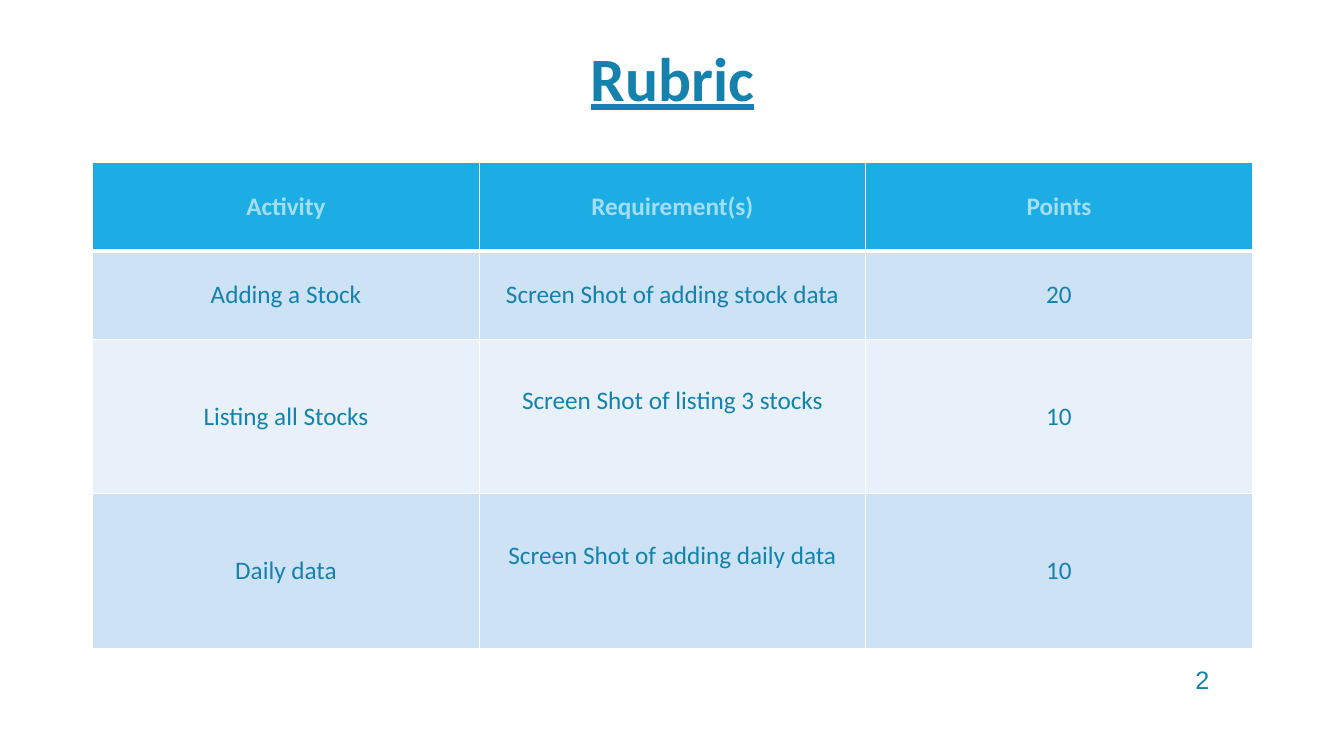
from lxml.etree import SubElement
from pptx import Presentation
from pptx.dml.color import RGBColor
from pptx.enum.text import MSO_ANCHOR, PP_ALIGN
from pptx.oxml.ns import qn
from pptx.util import Inches, Pt

COLORS = {
    "text": "1482AC",
    "header_text": "A4DEF4",
    "header": "1CADE4",
    "odd_row": "CDE3F5",
    "even_row": "E8F1FA",
    "border": "FFFFFF",
}
RUBRIC = [
    ("Activity", "Requirement(s)", "Points"),
    ("Adding a Stock", "Screen Shot of adding stock data", "20"),
    ("Listing all Stocks", "Screen Shot of listing 3 stocks", "10"),
    ("Daily data", "Screen Shot of adding daily data", "10"),
]
ROW_HEIGHTS = [0.88, 0.88, 1.53, 1.53]
TABLE_LEFT, TABLE_TOP, TABLE_WIDTH = 0.92, 1.61, 11.5
RAISED_MARGIN = 0.36  # lifts the requirement in the tall rows


def write_text(tf, text, size=18, font="Calibri", color="text",
               bold=False, underline=False, line_spacing=None):
    """Write one centred paragraph into a text frame."""
    p = tf.paragraphs[0]
    p.alignment = PP_ALIGN.CENTER
    if line_spacing:
        p.line_spacing = line_spacing
    r = p.add_run()
    r.text = text
    r.font.size = Pt(size)
    r.font.name = font
    r.font.bold = bold
    r.font.underline = underline
    r.font.color.rgb = RGBColor.from_string(COLORS[color])


def add_text(s, text, left, top, width, height, **fmt):
    """Add a wrapping, vertically centred text box."""
    tf = s.shapes.add_textbox(Inches(left), Inches(top),
                              Inches(width), Inches(height)).text_frame
    tf.word_wrap = True
    tf.vertical_anchor = MSO_ANCHOR.MIDDLE
    write_text(tf, text, **fmt)


def set_borders(cell, **widths):
    """Draw the cell's borders, with widths in points by side."""
    tc_pr = cell._tc.get_or_add_tcPr()
    for side in "LRTB":
        ln = SubElement(tc_pr, qn(f"a:ln{side}"), w=str(Pt(widths.get(side, 1))))
        fill = SubElement(ln, qn("a:solidFill"))
        SubElement(fill, qn("a:srgbClr"), val=COLORS["border"])


def format_cell(cell, text, row):
    """Fill in one rubric cell according to its row."""
    header = row == 0
    cell.vertical_anchor = MSO_ANCHOR.MIDDLE
    set_borders(cell, T=3 if row == 1 else 1, B=3 if header else 1)
    fill = "header" if header else "odd_row" if row % 2 else "even_row"
    cell.fill.solid()
    cell.fill.fore_color.rgb = RGBColor.from_string(COLORS[fill])
    write_text(cell.text_frame, text, bold=header,
               color="header_text" if header else "text")


def add_rubric(s):
    """Add the rubric table with equal columns."""
    rows, cols = len(RUBRIC), len(RUBRIC[0])
    table = s.shapes.add_table(
        rows, cols, Inches(TABLE_LEFT), Inches(TABLE_TOP),
        Inches(TABLE_WIDTH), Inches(sum(ROW_HEIGHTS))).table
    for i, (height, texts) in enumerate(zip(ROW_HEIGHTS, RUBRIC)):
        table.rows[i].height = Inches(height)
        for j, text in enumerate(texts):
            format_cell(table.cell(i, j), text, i)
    for i in (2, 3):
        table.cell(i, 1).margin_bottom = Inches(RAISED_MARGIN)


def main():
    """Build and save the rubric slide."""
    prs = Presentation()
    prs.slide_width, prs.slide_height = Inches(13.33), Inches(7.5)
    s = prs.slides.add_slide(prs.slide_layouts[6])
    add_text(s, "Rubric", TABLE_LEFT, 0, TABLE_WIDTH, TABLE_TOP,
             size=44, bold=True, underline=True, line_spacing=0.9)
    add_rubric(s)
    add_text(s, "2", 11.44, 6.54, 0.97, 0.4, font="Arial")
    prs.save("out.pptx")


main()
